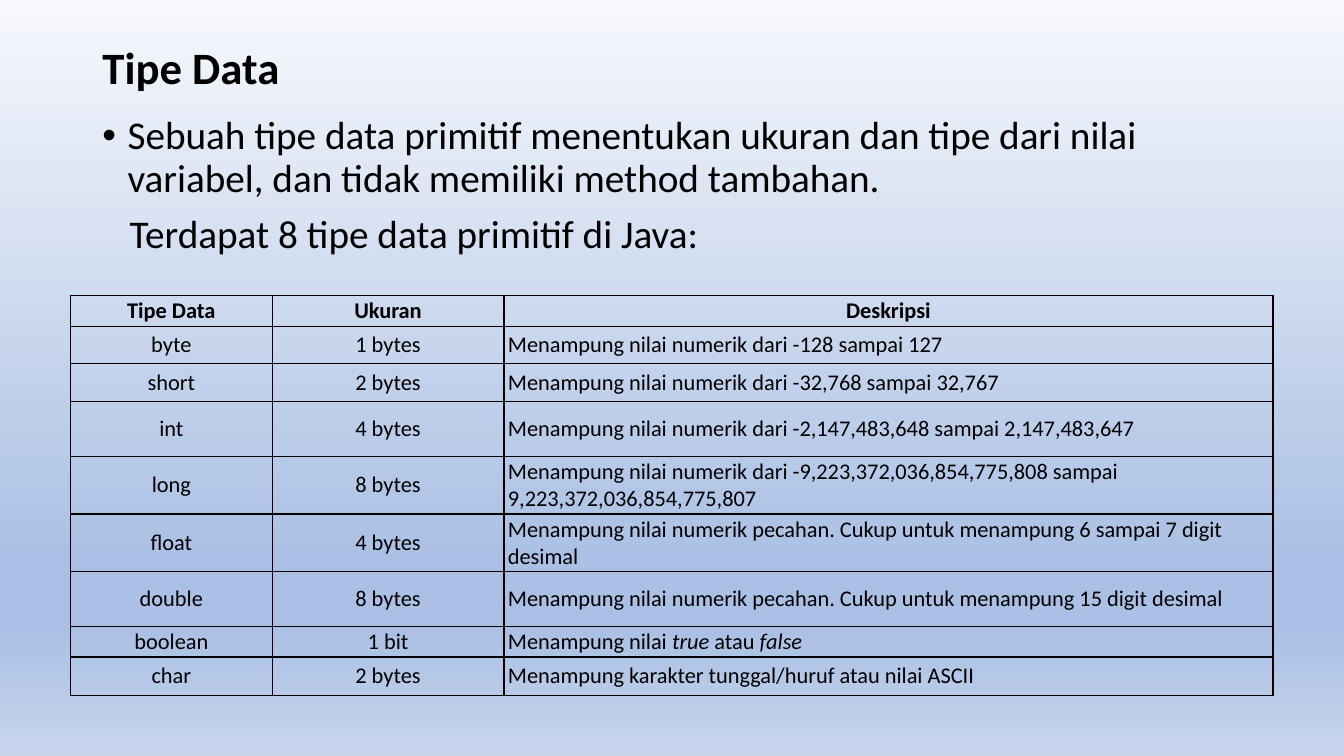
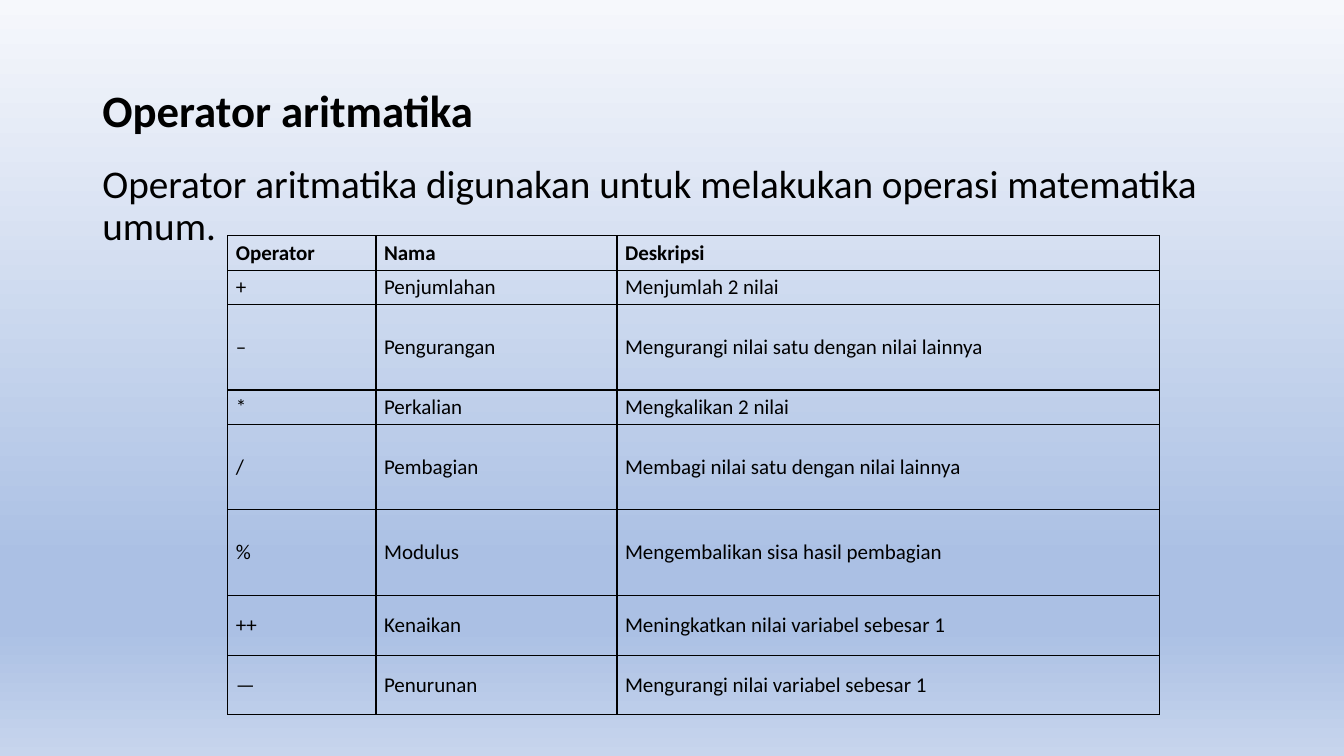
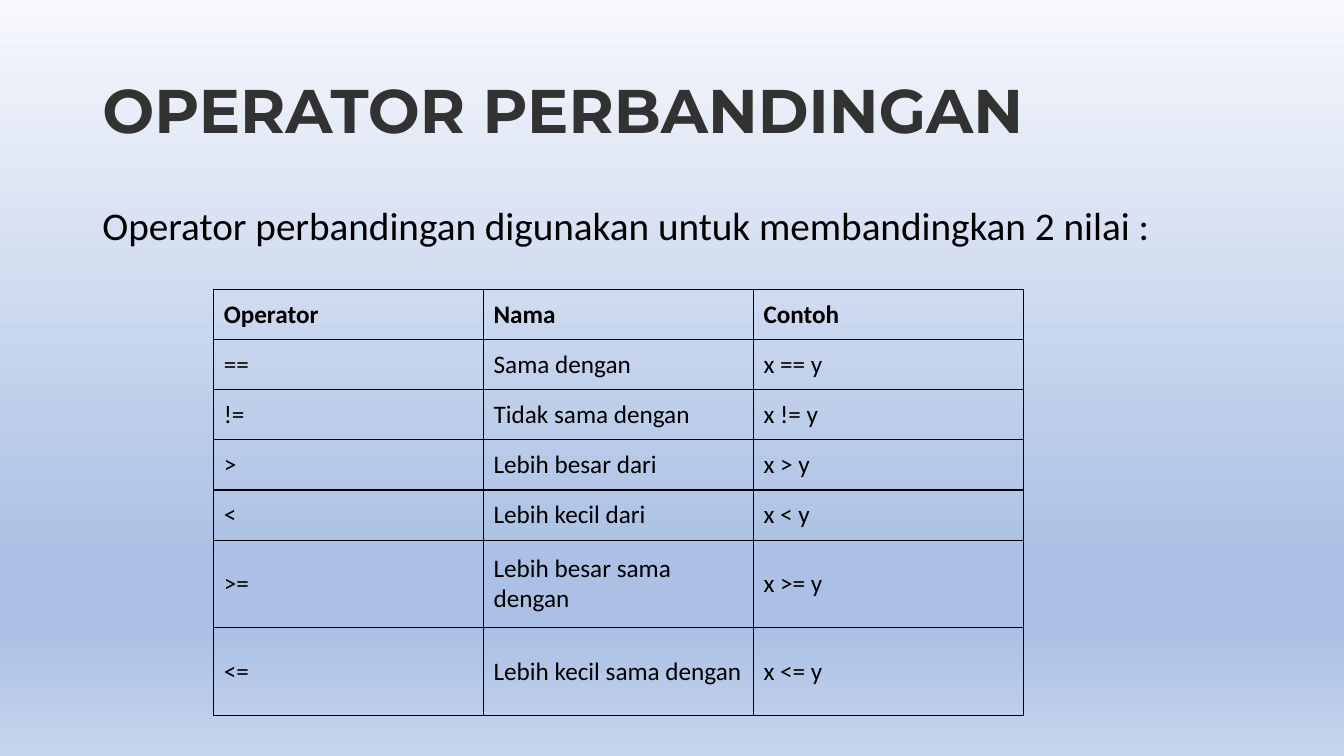
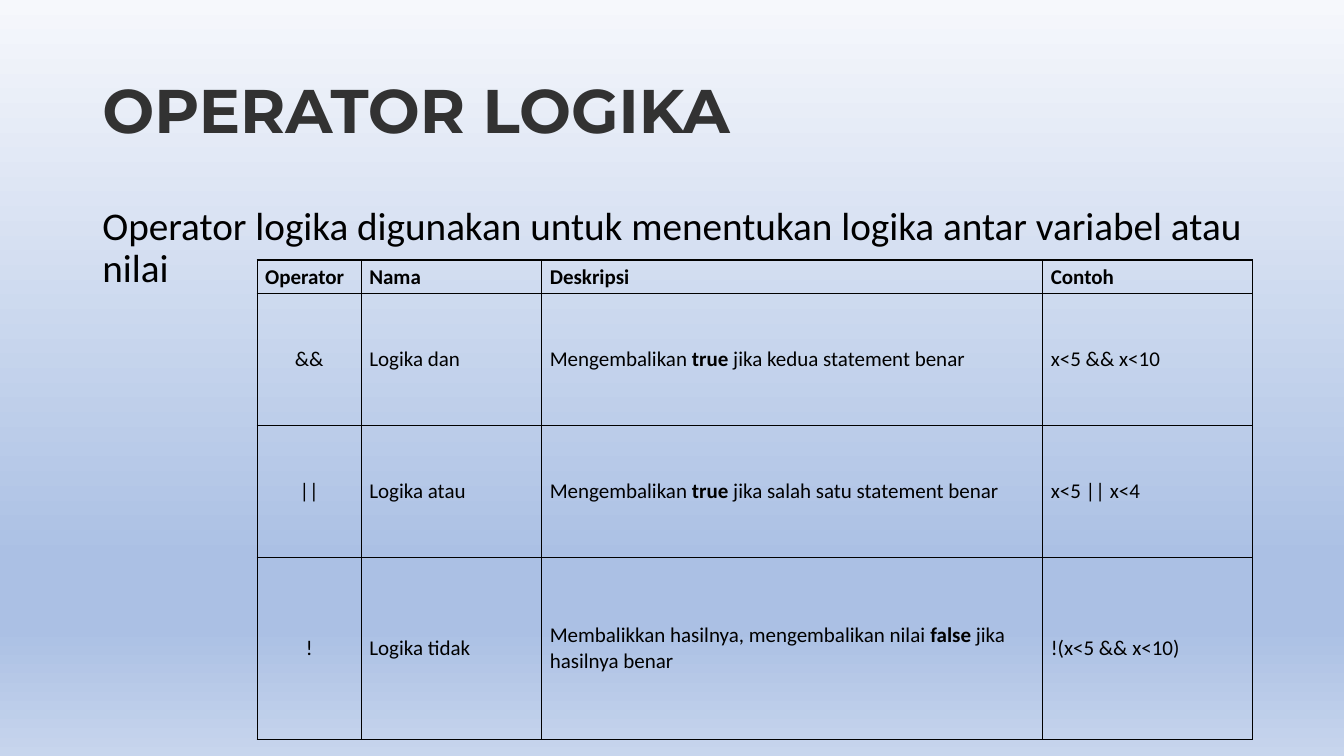
from lxml.etree import SubElement
from pptx import Presentation
from pptx.dml.color import RGBColor
from pptx.enum.text import MSO_ANCHOR, PP_ALIGN
from pptx.oxml.ns import qn
from pptx.util import Emu, Inches, Pt

SLIDE_WIDTH = Inches(13.333)
SLIDE_HEIGHT = Inches(7.5)
BLACK = RGBColor(0x00, 0x00, 0x00)
CHARCOAL = RGBColor(0x32, 0x32, 0x32)
MIST = RGBColor(0xF6, 0xF8, 0xFC)
PERIWINKLE = RGBColor(0xAB, 0xC0, 0xE4)
PALE_BLUE = RGBColor(0xC7, 0xD5, 0xED)
SKY = [(0, MIST), (74, PERIWINKLE), (83, PERIWINKLE), (100, PALE_BLUE)]
LEFT, WIDTH = 6.88, 86.25
TITLE_HEIGHT = 19.33
BODY_HEIGHT = 63.47
PLAIN_TITLE = ("Calibri", 32, BLACK)
DISPLAY_TITLE = ("Montserrat", 44, CHARCOAL)
TIGHT, SNUG, ROOMY = (0.04, 0.02), (0.08, 0.04), (0.1, 0.05)
BORDER_WIDTH = Pt(1)

TOPICS = [
    {
        "title": "Tipe Data",
        "title_style": PLAIN_TITLE,
        "title_top": -0.4,
        "body_top": 14.67,
        "body": [
            ("Sebuah tipe data primitif menentukan ukuran dan tipe dari nilai variabel, "
             "dan tidak memiliki method tambahan.", 0.25, "•"),
            ("Terdapat 8 tipe data primitif di Java:", 0.27, None),
        ],
        "corner": (5.25, 39.07),
        "columns": [15, 17.25, 57.22],
        "rows": [2.8, 4.93, 5.07, 7.2, 7.47, 7.47, 7.2, 2.8, 5.07],
        "size": 16,
        "margins": TIGHT,
        "header_centred": True,
        "centred_columns": 2,
        "emphasis": "italic",
        "cells": [
            ["Tipe Data", "Ukuran", "Deskripsi"],
            ["byte", "1 bytes", "Menampung nilai numerik dari -128 sampai 127"],
            ["short", "2 bytes", "Menampung nilai numerik dari -32,768 sampai 32,767"],
            ["int", "4 bytes", "Menampung nilai numerik dari -2,147,483,648 sampai 2,147,483,647"],
            ["long", "8 bytes", "Menampung nilai numerik dari -9,223,372,036,854,775,808 sampai "
                                "9,223,372,036,854,775,807"],
            ["float", "4 bytes", "Menampung nilai numerik pecahan. Cukup untuk menampung "
                                 "6 sampai 7 digit desimal"],
            ["double", "8 bytes", "Menampung nilai numerik pecahan. Cukup untuk menampung "
                                  "15 digit desimal"],
            ["boolean", "1 bit", ("Menampung nilai ", "true", " atau ", "false")],
            ["char", "2 bytes", "Menampung karakter tunggal/huruf atau nilai ASCII"],
        ],
    },
    {
        "title": "Operator aritmatika",
        "title_style": PLAIN_TITLE,
        "title_top": 5.33,
        "body_top": 21.07,
        "body": [("Operator aritmatika digunakan untuk melakukan operasi matematika umum.", 0, None)],
        "corner": (16.95, 31.2),
        "columns": [11.03, 17.93, 40.35],
        "rows": [4.53, 4.53, 11.33, 4.53, 11.33, 11.33, 7.9, 7.9],
        "size": 15,
        "margins": SNUG,
        "header_centred": False,
        "centred_columns": 0,
        "emphasis": "bold",
        "cells": [
            ["Operator", "Nama", "Deskripsi"],
            ["+", "Penjumlahan", "Menjumlah 2 nilai"],
            ["–", "Pengurangan", "Mengurangi nilai satu dengan nilai lainnya"],
            ["*", "Perkalian", "Mengkalikan 2 nilai"],
            ["/", "Pembagian", "Membagi nilai satu dengan nilai lainnya"],
            ["%", "Modulus", "Mengembalikan sisa hasil pembagian"],
            ["++", "Kenaikan", "Meningkatkan nilai variabel sebesar 1"],
            ["—", "Penurunan", "Mengurangi nilai variabel sebesar 1"],
        ],
    },
    {
        "title": "OPERATOR PERBANDINGAN",
        "title_style": DISPLAY_TITLE,
        "title_top": 5.33,
        "body_top": 26.67,
        "body": [("Operator perbandingan digunakan untuk membandingkan 2 nilai :", 0, None)],
        "corner": (15.9, 38.27),
        "columns": [20.08] * 3,
        "rows": [6.64] * 5 + [11.6] * 2,
        "size": 18,
        "margins": ROOMY,
        "header_centred": False,
        "centred_columns": 0,
        "emphasis": "bold",
        "cells": [
            ["Operator", "Nama", "Contoh"],
            ["==", "Sama dengan", "x == y"],
            ["!=", "Tidak sama dengan", "x != y"],
            [">", "Lebih besar dari", "x > y"],
            ["<", "Lebih kecil dari", "x < y"],
            [">=", "Lebih besar sama dengan", "x >= y"],
            ["<=", "Lebih kecil sama dengan", "x <= y"],
        ],
    },
    {
        "title": "OPERATOR LOGIKA",
        "title_style": DISPLAY_TITLE,
        "title_top": 5.33,
        "body_top": 26.67,
        "body": [("Operator logika digunakan untuk menentukan logika antar variabel atau nilai", 0, None)],
        "corner": (19.13, 34.4),
        "columns": [7.75, 13.43, 37.28, 15.58],
        "rows": [4.4, 17.47, 17.47, 24.13],
        "size": 15,
        "margins": SNUG,
        "header_centred": False,
        "centred_columns": 1,
        "emphasis": "bold",
        "cells": [
            ["Operator", "Nama", "Deskripsi", "Contoh"],
            ["&&", "Logika dan",
             ("Mengembalikan ", "true", " jika kedua statement benar"), "x<5 && x<10"],
            ["||", "Logika atau",
             ("Mengembalikan ", "true", " jika salah satu statement benar"), "x<5 || x<4"],
            ["!", "Logika tidak",
             ("Membalikkan hasilnya, mengembalikan nilai ", "false", " jika hasilnya benar"),
             "!(x<5 && x<10)"],
        ],
    },
]


def frame(left, top, width, height):
    shares = [(left, SLIDE_WIDTH), (top, SLIDE_HEIGHT), (width, SLIDE_WIDTH), (height, SLIDE_HEIGHT)]
    return [Emu(round(share * whole / 100)) for share, whole in shares]


def add_run(paragraph, text, font, size, color, bold=False):
    run = paragraph.add_run()
    run.text = text
    run.font.name = font
    run.font.size = Pt(size)
    run.font.color.rgb = color
    run.font.bold = bold
    return run


deck = Presentation()
deck.slide_width = SLIDE_WIDTH
deck.slide_height = SLIDE_HEIGHT

sky = deck.slide_master.background.fill
sky.gradient()
sky.gradient_angle = 270
stops = deck.slide_master.element.find(".//" + qn("a:gsLst"))
for stop in list(stops):
    stops.remove(stop)
for position, color in SKY:
    stop = SubElement(stops, qn("a:gs"), pos=str(position * 1000))
    SubElement(stop, qn("a:srgbClr"), val=str(color))

for topic in TOPICS:
    slide = deck.slides.add_slide(deck.slide_layouts[6])

    title = slide.shapes.add_textbox(*frame(LEFT, topic["title_top"], WIDTH, TITLE_HEIGHT)).text_frame
    title.word_wrap = True
    title.vertical_anchor = MSO_ANCHOR.MIDDLE
    title.paragraphs[0].line_spacing = 0.9
    add_run(title.paragraphs[0], topic["title"], *topic["title_style"], bold=True)

    body = slide.shapes.add_textbox(*frame(LEFT, topic["body_top"], WIDTH, BODY_HEIGHT)).text_frame
    body.word_wrap = True
    for index, (sentence, indent, bullet) in enumerate(topic["body"]):
        paragraph = body.add_paragraph() if index else body.paragraphs[0]
        paragraph.line_spacing = 0.9
        paragraph.space_before = Pt(10)
        add_run(paragraph, sentence, "Calibri", 28, BLACK)
        properties = paragraph._p.get_or_add_pPr()
        properties.set("marL", str(Inches(indent)))
        if bullet:
            properties.set("indent", str(-Inches(indent)))
            SubElement(properties, qn("a:buFont"), typeface="Arial")
            SubElement(properties, qn("a:buChar"), char=bullet)

    columns, rows = topic["columns"], topic["rows"]
    table = slide.shapes.add_table(
        len(rows), len(columns), *frame(*topic["corner"], sum(columns), sum(rows))).table
    table.first_row = False
    table.horz_banding = False
    for column, share in zip(table.columns, columns):
        column.width = frame(0, 0, share, 0)[2]
    for row, share in zip(table.rows, rows):
        row.height = frame(0, 0, 0, share)[3]

    side_margin, edge_margin = topic["margins"]
    for row_index, entries in enumerate(topic["cells"]):
        header = row_index == 0
        for column_index, entry in enumerate(entries):
            cell = table.cell(row_index, column_index)
            cell.vertical_anchor = MSO_ANCHOR.MIDDLE
            cell.margin_left = cell.margin_right = Inches(side_margin)
            cell.margin_top = cell.margin_bottom = Inches(edge_margin)
            borders = cell._tc.get_or_add_tcPr()
            for side in ("a:lnL", "a:lnR", "a:lnT", "a:lnB"):
                line = SubElement(borders, qn(side), w=str(BORDER_WIDTH))
                SubElement(SubElement(line, qn("a:solidFill")), qn("a:srgbClr"), val=str(BLACK))
            cell.fill.background()

            paragraph = cell.text_frame.paragraphs[0]
            centred = topic["header_centred"] if header else column_index < topic["centred_columns"]
            paragraph.alignment = PP_ALIGN.CENTER if centred else PP_ALIGN.LEFT
            pieces = (entry,) if isinstance(entry, str) else entry
            for piece_index, piece in enumerate(pieces):
                run = add_run(paragraph, piece, "Calibri", topic["size"], BLACK, header)
                if piece_index % 2:
                    setattr(run.font, topic["emphasis"], True)

deck.save("out.pptx")
